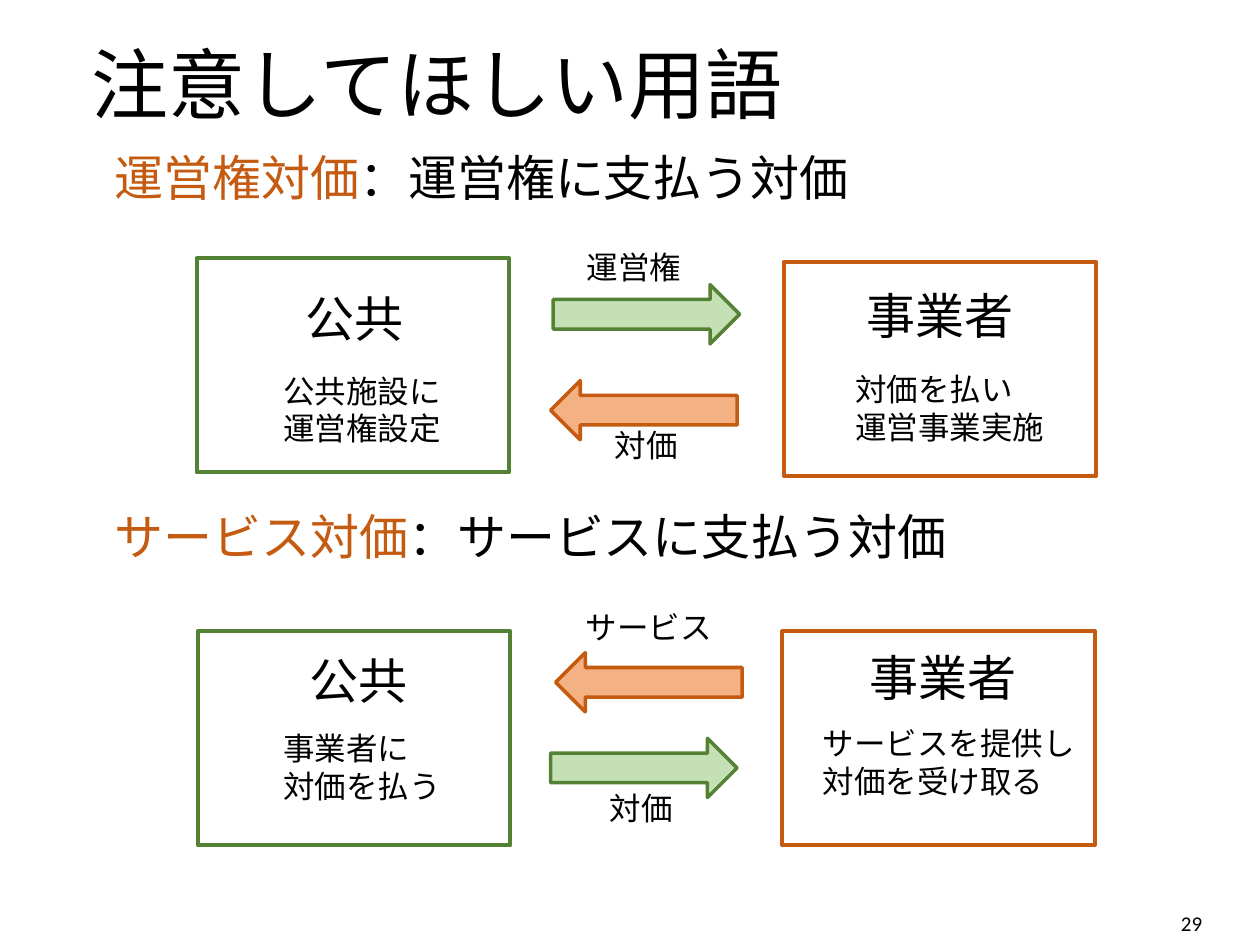
"""Build the slide on two easily confused terms for payment."""
import pptx
import pptx.util
import pptx.dml.color
import pptx.enum.shapes
import pptx.enum.text
import pptx.oxml
import pptx.oxml.ns

Inches = pptx.util.Inches
Pt = pptx.util.Pt
RGBColor = pptx.dml.color.RGBColor
Shape = pptx.enum.shapes.MSO_SHAPE
Align = pptx.enum.text.PP_ALIGN
Anchor = pptx.enum.text.MSO_ANCHOR
Fit = pptx.enum.text.MSO_AUTO_SIZE

BLACK = RGBColor(0x00, 0x00, 0x00)
GREEN = RGBColor(0x54, 0x82, 0x35)
ORANGE = RGBColor(0xC5, 0x5A, 0x11)
MINT = RGBColor(0xC5, 0xE0, 0xB4)
PEACH = RGBColor(0xF4, 0xB1, 0x83)
CJK = "Noto Sans CJK JP"


def add_run(para, text, size, color=BLACK, face="Arial"):
    run = para.add_run()
    run.text = text
    run.font.size = Pt(size)
    run.font.name = face
    run.font.color.rgb = color
    east = pptx.oxml.parse_xml(
        f'<a:ea {pptx.oxml.ns.nsdecls("a")} typeface="{CJK}"/>')
    run.font._element.find(pptx.oxml.ns.qn("a:latin")).addnext(east)


def add_shape(kind, left, top, width, height, line, weight):
    shape = slide.shapes.add_shape(
        kind, Inches(left), Inches(top), Inches(width), Inches(height))
    shape.shadow.inherit = False
    shape.fill.background()
    shape.line.color.rgb = line
    shape.line.width = Pt(weight)
    return shape


deck = pptx.Presentation()
deck.slide_width = Inches(10)
deck.slide_height = Inches(7.5)
slide = deck.slides.add_slide(deck.slide_layouts[1])

title, body = slide.placeholders[0], slide.placeholders[1]
for holder, left, top, height in [(title, 0.63, 0.32, 0.77), (body, 0.69, 1.17, 5.93)]:
    holder.left, holder.top = Inches(left), Inches(top)
    holder.width, holder.height = Inches(8.62), Inches(height)
    holder.text_frame.auto_size = Fit.NONE

title.text_frame.vertical_anchor = Anchor.MIDDLE
para = title.text_frame.paragraphs[0]
para.alignment = Align.LEFT
para.line_spacing = 0.9
add_run(para, "注意してほしい用語", 44)

terms = [("運営権対価", "：運営権に支払う対価", 10),
         ("サービス対価", "：サービスに支払う対価", 175)]
for i, (term, sense, gap) in enumerate(terms):
    para = body.text_frame.paragraphs[0] if i == 0 else body.text_frame.add_paragraph()
    para.line_spacing = 0.9
    para.space_before = Pt(gap)
    props = para._p.get_or_add_pPr()
    props.set("marL", str(Inches(0.12)))
    props.set("indent", "0")
    props.append(pptx.oxml.parse_xml(f'<a:buNone {pptx.oxml.ns.nsdecls("a")}/>'))
    add_run(para, term, 28, ORANGE)
    add_run(para, sense, 28)

boxes = [(1.56, 2.05, GREEN), (1.57, 5.01, GREEN), (6.21, 5.01, ORANGE), (6.22, 2.08, ORANGE)]
for left, top, color in boxes:
    add_shape(Shape.RECTANGLE, left, top, 2.48, 1.7, color, 2.25)

arrows = [(4.39, 2.26, MINT, GREEN, 0), (4.37, 5.86, MINT, GREEN, 0),
          (4.37, 3.02, PEACH, ORANGE, 180), (4.41, 5.18, PEACH, ORANGE, 180)]
for left, top, fill, line, turn in arrows:
    arrow = add_shape(Shape.RIGHT_ARROW, left, top, 1.48, 0.47, line, 2)
    arrow.fill.solid()
    arrow.fill.fore_color.rgb = fill
    arrow.rotation = turn

labels = [
    (2.33, 2.24, 0.99, 0.57, 28, CJK, ["公共"]),
    (6.78, 2.22, 1.38, 0.57, 28, CJK, ["事業者"]),
    (2.36, 5.11, 0.99, 0.57, 28, CJK, ["公共"]),
    (6.8, 5.09, 1.38, 0.57, 28, CJK, ["事業者"]),
    (2.15, 2.9, 1.46, 0.71, 18, "Arial", ["公共施設に", "運営権設定"]),
    (6.69, 2.89, 1.72, 0.71, 18, "Arial", ["対価を払い", "運営事業実施"]),
    (6.43, 5.7, 2.22, 0.71, 18, "Arial", ["サービスを提供し", "対価を受け取る"]),
    (2.15, 5.74, 1.46, 0.71, 18, "Arial", ["事業者に", "対価を払う"]),
    (4.78, 3.33, 0.71, 0.4, 18, "Arial", ["対価"]),
    (4.56, 1.92, 0.96, 0.4, 18, "Arial", ["運営権"]),
    (4.74, 6.21, 0.71, 0.4, 18, "Arial", ["対価"]),
    (4.55, 4.78, 1.21, 0.4, 18, "Arial", ["サービス"]),
    (7.39, 7.13, 2.25, 0.4, 12, "Calibri", ["29"]),
]
for left, top, width, height, size, face, lines in labels:
    label = slide.shapes.add_textbox(
        Inches(left), Inches(top), Inches(width), Inches(height))
    frame = label.text_frame
    frame.word_wrap = False
    frame.auto_size = Fit.SHAPE_TO_FIT_TEXT
    for i, text in enumerate(lines):
        para = frame.paragraphs[0] if i == 0 else frame.add_paragraph()
        add_run(para, text, size, face=face)

frame.word_wrap = True
frame.auto_size = Fit.NONE
frame.vertical_anchor = Anchor.MIDDLE
para.alignment = Align.RIGHT

deck.save("out.pptx")
